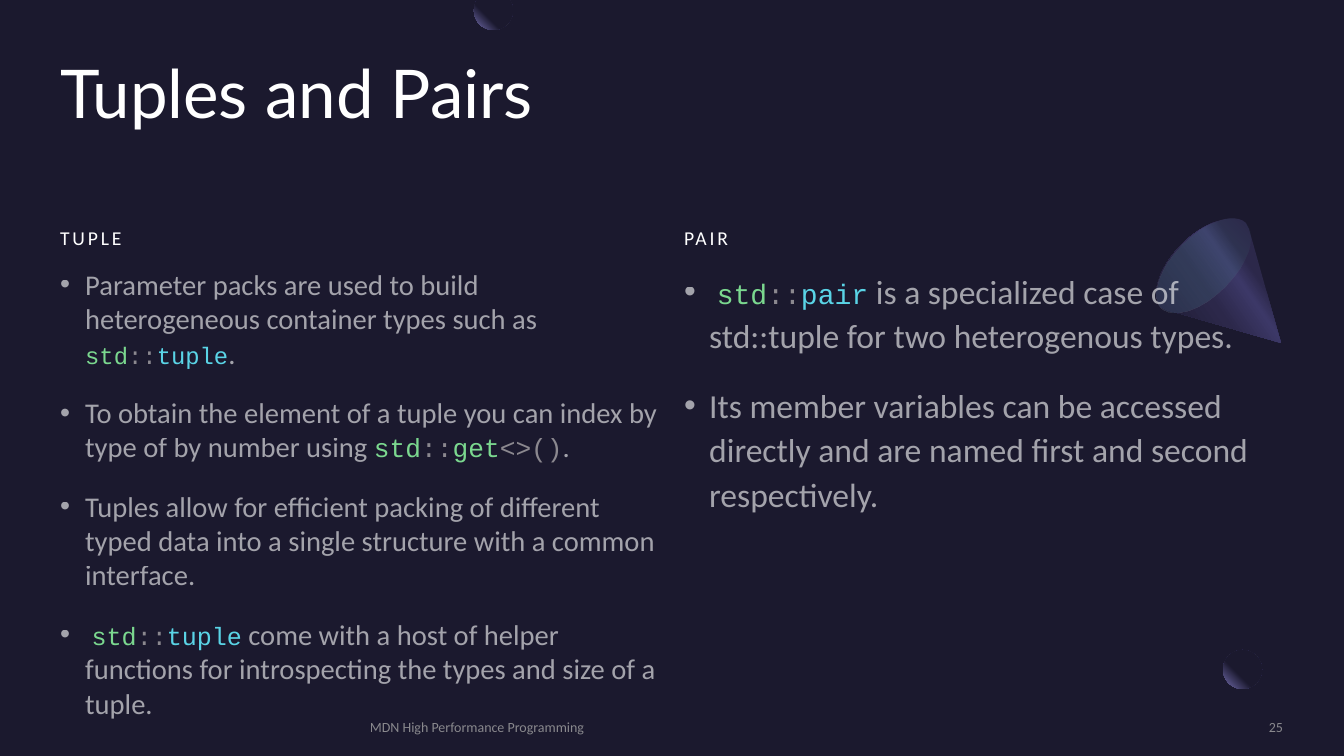
from math import asin, cos, pi, sin

from lxml.etree import SubElement
from pptx import Presentation
from pptx.dml.color import RGBColor
from pptx.enum.shapes import MSO_SHAPE
from pptx.enum.text import MSO_ANCHOR, PP_ALIGN
from pptx.oxml.ns import qn
from pptx.util import Pt

PX = 914400 / 100.8
COLORS = {
    "back": "1B192E", "white": "FFFFFF", "foot": "A6A6A6",
    "green": "7BD88F", "grey": "8B888F", "cyan": "5AD4E6",
    "glow": "7771B2", "dusk": "2C284A", "band": "3C3867",
    "violet": "454075", "mint": "5BEFC1",
}
MOON = [(60, "back", 100), (100, "glow", 100)]
CONE = [(30, "dusk", 100), (40, "band", 100), (60, "dusk", 100), (100, "back", 100)]
RIM = [(0, "violet", 33), (100, "mint", 0)]

STD, COLONS = ("std", "green"), ("::", "grey")
TUPLE = [STD, COLONS, ("tuple", "cyan")]
GET = [STD, COLONS, ("get", "green"), ("<>()", "grey")]
PAIR = [STD, COLONS, ("pair", "cyan")]
# Each bullet: size of its code, then its pieces
LEFT = [
    (17, ["Parameter packs are used to build heterogeneous container types such as ",
          *TUPLE, "."]),
    (18.7, ["To obtain the element of a tuple you can index by type of by number using ",
            *GET, "."]),
    (17, ["Tuples allow for efficient packing of different typed data into a single "
          "structure with a common interface."]),
    (17.9, [" ", *TUPLE, " come with a host of helper functions for introspecting "
            "the types and size of a tuple."]),
]
RIGHT = [
    (20, [" ", *PAIR, " is a specialized case of std::tuple for two heterogenous types."]),
    (20, ["Its member variables can be accessed directly and are named first and "
          "second respectively."]),
]


def px(*nums):
    return [round(n * PX) for n in nums]


def rgb(name):
    return RGBColor.from_string(COLORS[name])


def style(font, size, face, color):
    font.size, font.name = Pt(size), face
    font.fill.solid()
    font.fill.fore_color.rgb = rgb(color)


def fade(node, color, alpha):
    """Make every use of a colour inside the node partly clear."""
    for tint in node.iter(qn("a:srgbClr")):
        if tint.get("val") == COLORS[color]:
            SubElement(tint, qn("a:alpha"), val=str(alpha * 1000))


def blend(shape, stops, angle=None):
    """Fill with a straight gradient, or one round the top right corner."""
    shape.shadow.inherit = False
    shape.line.fill.background()
    shape.fill.gradient()
    grad = shape._element.spPr.find(qn("a:gradFill"))
    for child in list(grad):
        grad.remove(child)
    row = SubElement(grad, qn("a:gsLst"))
    for place, color, alpha in stops:
        stop = SubElement(row, qn("a:gs"), pos=str(place * 1000))
        tint = SubElement(stop, qn("a:srgbClr"), val=COLORS[color])
        if alpha < 100:
            SubElement(tint, qn("a:alpha"), val=str(alpha * 1000))
    if angle is None:
        ring = SubElement(grad, qn("a:path"), {"path": "circle"})
        SubElement(ring, qn("a:fillToRect"), l="100000", b="100000")
    else:
        SubElement(grad, qn("a:lin"), ang=str(angle * 60000), scaled="0")


def outline(slide, points):
    (x, y), *rest = points
    pen = slide.shapes.build_freeform(round(x * PX), round(y * PX))
    pen.add_line_segments([px(*point) for point in rest], close=True)
    return pen.convert_to_shape()


def curve(a, b, c, d, steps=12):
    """Points after a on the cubic curve from a to d."""
    for i in range(1, steps + 1):
        t = i / steps
        u = 1 - t
        yield tuple(u**3 * p + 3 * u * u * t * q + 3 * u * t * t * r + t**3 * s
                    for p, q, r, s in zip(a, b, c, d))


def moons(slide, side=39):
    low = slide.shapes.add_shape(MSO_SHAPE.OVAL, *px(1223, 650, side, side))
    blend(low, MOON)
    x, y, r = 493.5, 10.5, side / 2
    start = -asin(y / r)
    sweep = pi - 2 * start
    arc = [start + sweep * i / 40 for i in range(41)]
    blend(outline(slide, [(x + r * cos(a), y + r * sin(a)) for a in arc]), MOON)


def cone(slide, x, y):
    """Place the cone with its tip at x, y."""
    left, mid, top = (-120, -36), (-99, -99), (-35, -120)
    points = [(0, 0), (-114, -33), left,
              *curve(left, (-131, -48), (-122, -76), mid),
              *curve(mid, (-76, -122), (-46, -131), top), (-32, -114)]
    blend(outline(slide, [(x + a, y + b) for a, b in points]), CONE, 145)
    rim = slide.shapes.add_shape(MSO_SHAPE.OVAL, *px(x - 107, y - 137, 59, 119))
    rim.rotation = 225
    blend(rim, RIM, 90)


def frame(slide, box, anchor=MSO_ANCHOR.TOP):
    text = slide.shapes.add_textbox(*px(*box)).text_frame
    text.word_wrap = True
    text.vertical_anchor = anchor
    text.margin_left = text.margin_right = text.margin_top = text.margin_bottom = 0
    return text


def label(slide, box, words, size, face, color, anchor=MSO_ANCHOR.TOP):
    para = frame(slide, box, anchor).paragraphs[0]
    para.add_run().text = words
    style(para.font, size, face, color)
    return para


def bullets(slide, box, items, size, pitch):
    text = frame(slide, box)
    for i, (small, parts) in enumerate(items):
        para = text.add_paragraph() if i else text.paragraphs[0]
        prop = para._p.get_or_add_pPr()
        prop.set("marL", "228600")
        prop.set("indent", "-228600")
        SubElement(prop, qn("a:buFont"), typeface="Arial")
        SubElement(prop, qn("a:buChar"), char="•")
        para.line_spacing = pitch
        para.space_before, para.space_after = Pt(10 if i else 0), Pt(8)
        for part in parts:
            run = para.add_run()
            if isinstance(part, str):
                run.text = part
                if len(parts) > 1:
                    style(run.font, size, "Calibri", "white")
            else:
                run.text, color = part
                style(run.font, small, "Courier New", color)
        if len(parts) == 1:
            style(para.font, size, "Calibri", "white")
        fade(para._p, "white", 60)


def column(slide, box, head, items, size, pitch):
    x, y, w, h = box
    para = label(slide, (x, y, w, 59), head, 14, "Calibri", "white", MSO_ANCHOR.BOTTOM)
    para.line_spacing, para.space_after = 1.1, Pt(8)
    para.runs[0]._r.get_or_add_rPr().set("spc", "200")
    bullets(slide, (x, y + 77, w, h - 77), items, size, pitch)


def footer(slide, y):
    notes = [(370, 704, "MDN High Performance Programming", PP_ALIGN.LEFT),
             (1097, 186, "25", PP_ALIGN.RIGHT)]
    for x, w, words, align in notes:
        para = label(slide, (x, y, w, 17), words, 10, "Calibri", "foot", MSO_ANCHOR.MIDDLE)
        para.alignment = align
        fade(para._p, "foot", 80)


def main():
    deck = Presentation()
    deck.slide_width, deck.slide_height = px(1344, 756)
    slide = deck.slides.add_slide(deck.slide_layouts[6])
    slide.background.fill.solid()
    slide.background.fill.fore_color.rgb = rgb("back")
    moons(slide)
    cone(slide, 1281, 343)
    title = label(slide, (60, 60, 1224, 147), "Tuples and Pairs", 48, "Lato", "white")
    title.line_spacing = 0.9
    column(slide, (60, 190, 600, 464), "TUPLE", LEFT, 20.4, 1.0)
    column(slide, (684, 190, 600, 464), "PAIR", RIGHT, 24, 1.1)
    footer(slide, 718)
    deck.save("out.pptx")


if __name__ == "__main__":
    main()
